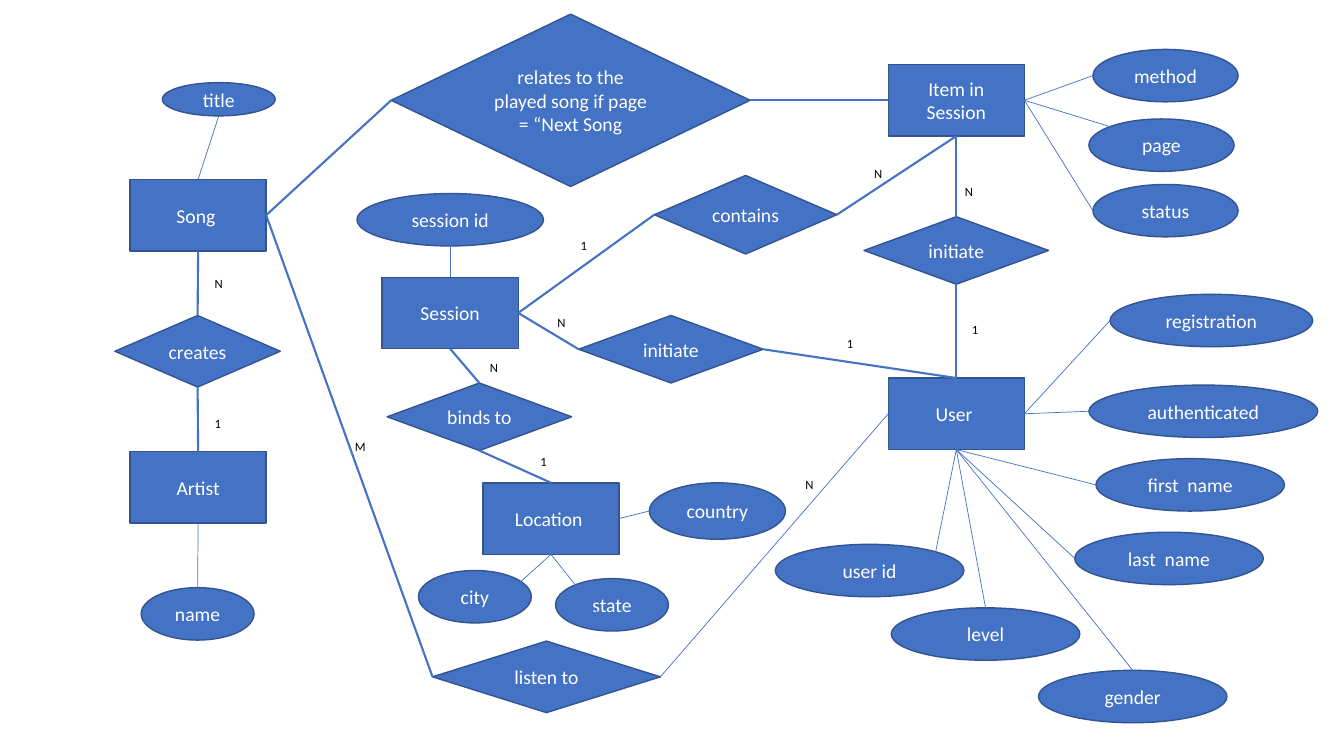
from lxml import etree
from pptx import Presentation
from pptx.dml.color import RGBColor
from pptx.enum.shapes import MSO_CONNECTOR, MSO_SHAPE
from pptx.enum.text import MSO_ANCHOR, PP_ALIGN
from pptx.oxml.ns import qn
from pptx.util import Inches, Pt

RECTANGLE = MSO_SHAPE.RECTANGLE
OVAL = MSO_SHAPE.OVAL
DECISION = MSO_SHAPE.FLOWCHART_DECISION
STRAIGHT = MSO_CONNECTOR.STRAIGHT
MIDDLE = MSO_ANCHOR.MIDDLE
CENTER = PP_ALIGN.CENTER
LEFT = PP_ALIGN.LEFT

BLUE, OUTLINE, WHITE, BLACK = "4472C4", "325491", "FFFFFF", "000000"
FONT = "Calibri"
THIN, THICK = 0.5, 1.5
BLANK_LAYOUT = 6
ENTITY_SIZE = (1.35, 0.71)
LABEL_SIZE = (0.29, 0.25)

SITES = {"top": 0, "left": 1, "bottom": 2, "right": 3}
OVAL_POINTS = {
    "top": (0.5, 0),
    "left": (0, 0.5),
    "bottom": (0.5, 1),
    "top left": (0.15, 0.15),
    "top right": (0.85, 0.15),
}

ENTITIES = {
    "Artist": (1.29, 4.48),
    "User ": (8.81, 3.75),
    "Song ": (1.29, 1.78),
    "Session": (3.79, 2.75),
    "Item in Session": (8.81, 0.64),
    "Location ": (4.79, 4.79),
}

ATTRIBUTES = [
    ("Artist", "bottom", "name", "top", (1.4, 5.83, 1.12, 0.52)),
    ("Song ", "top", "title", "bottom", (1.61, 0.82, 1.12, 0.33)),
    ("Session", "top", "session id", "bottom", (3.54, 1.92, 1.85, 0.52)),
    ("Item in Session", "right", "method", "left", (10.84, 0.49, 1.44, 0.52)),
    ("Item in Session", "right", "page", "top left", (10.8, 1.18, 1.44, 0.52)),
    ("Item in Session", "right", "status", "left", (10.84, 1.83, 1.44, 0.52)),
    ("User ", "right", "registration", "left", (11.01, 2.92, 2.01, 0.52)),
    ("User ", "right", "authenticated", "left", (10.8, 3.82, 2.27, 0.52)),
    ("User ", "bottom", "first  name", "left", (10.87, 4.55, 1.87, 0.52)),
    ("User ", "bottom", "last  name", "left", (10.66, 5.28, 1.87, 0.52)),
    ("User ", "bottom", "gender", "top", (10.3, 6.65, 1.87, 0.52)),
    ("User ", "bottom", "level", "top", (8.84, 6.03, 1.87, 0.52)),
    ("User ", "bottom", "user id", "top right", (7.69, 5.4, 1.87, 0.52)),
    ("Location ", "bottom", "city", "bottom", (4.15, 5.66, 1.12, 0.52)),
    ("Location ", "bottom", "state", "bottom", (5.51, 5.74, 1.12, 0.52)),
    ("Location ", "right", "country", "left", (6.44, 4.79, 1.35, 0.56)),
]

# Each link: entity, entity side, relationship side, line width
RELATIONSHIPS = [
    ("creates", (1.14, 3.13, 1.64, 0.71),
     [("Song ", "bottom", "top", THICK), ("Artist", "top", "bottom", THICK)]),
    ("listen to", (4.29, 6.36, 2.26, 0.71),
     [("Song ", "right", "left", THICK), ("User ", "left", "right", THIN)]),
    ("initiate", (5.74, 3.13, 1.83, 0.67),
     [("Session", "right", "left", THICK), ("User ", "top", "right", THICK)]),
    ("relates to the played song if page = “Next Song", (3.88, 0.14, 3.56, 1.71),
     [("Song ", "right", "left", THICK), ("Item in Session", "left", "right", THICK)]),
    ("initiate", (8.57, 2.15, 1.83, 0.67),
     [("Item in Session", "bottom", "top", THICK), ("User ", "top", "bottom", THICK)]),
    ("contains", (6.49, 1.74, 1.81, 0.78),
     [("Session", "right", "left", THICK), ("Item in Session", "bottom", "right", THICK)]),
    ("binds to", (3.84, 3.8, 1.83, 0.67),
     [("Session", "bottom", "top", THICK), ("Location ", "top", "bottom", THICK)]),
]

CARDINALITIES = {
    "1": [(2.03, 4.08), (5.66, 2.31), (9.54, 3.14), (8.3, 3.28), (5.26, 4.45)],
    "N": [(2.03, 2.69), (8.57, 1.6), (7.89, 4.68), (5.43, 3.07), (9.47, 1.77), (4.76, 3.52)],
    "M": [(3.42, 4.3)],
}


def color(value):
    return RGBColor.from_string(value)


def write_text(box, text, size, shade, alignment):
    box.text_frame.word_wrap = True
    para = box.text_frame.paragraphs[0]
    para.alignment = alignment
    span = para.add_run()
    span.text = text
    span.font.name = FONT
    span.font.size = Pt(size)
    span.font.color.rgb = color(shade)


def add_node(page, kind, text, bounds):
    node = page.shapes.add_shape(kind, *map(Inches, bounds))
    node.shadow.inherit = False
    node.fill.solid()
    node.fill.fore_color.rgb = color(BLUE)
    node.line.color.rgb = color(OUTLINE)
    node.line.width = Pt(1)
    node.text_frame.vertical_anchor = MIDDLE
    write_text(node, text, 14, WHITE, CENTER)
    return node


def add_line(page, entity, side, end_x, end_y, width):
    line = page.shapes.add_connector(STRAIGHT, entity.left, entity.top, end_x, end_y)
    line.begin_connect(entity, SITES[side])
    line.line.color.rgb = color(BLUE)
    line.line.width = Pt(width)
    etree.SubElement(line._element.spPr, qn("a:effectLst"))
    return line


def add_attribute(page, entity, side, text, oval_point, bounds):
    oval = add_node(page, OVAL, text, bounds)
    across, down = OVAL_POINTS[oval_point]
    end_x = int(oval.left + oval.width * across)
    end_y = int(oval.top + oval.height * down)
    add_line(page, entity, side, end_x, end_y, THIN)


def add_relationship(page, entities, text, bounds, links):
    diamond = add_node(page, DECISION, text, bounds)
    for entity, side, diamond_side, width in links:
        line = add_line(page, entities[entity], side, diamond.left, diamond.top, width)
        line.end_connect(diamond, SITES[diamond_side])


def add_cardinality(page, text, position):
    box = page.shapes.add_textbox(*map(Inches, position + LABEL_SIZE))
    write_text(box, text, 9, BLACK, LEFT)


def main():
    deck = Presentation()
    deck.slide_width = Inches(13.33)
    deck.slide_height = Inches(7.5)
    page = deck.slides.add_slide(deck.slide_layouts[BLANK_LAYOUT])

    entities = {
        name: add_node(page, RECTANGLE, name, position + ENTITY_SIZE)
        for name, position in ENTITIES.items()
    }
    for entity, side, text, oval_point, bounds in ATTRIBUTES:
        add_attribute(page, entities[entity], side, text, oval_point, bounds)
    for text, bounds, links in RELATIONSHIPS:
        add_relationship(page, entities, text, bounds, links)
    for text, positions in CARDINALITIES.items():
        for position in positions:
            add_cardinality(page, text, position)

    deck.save("out.pptx")


if __name__ == "__main__":
    main()
